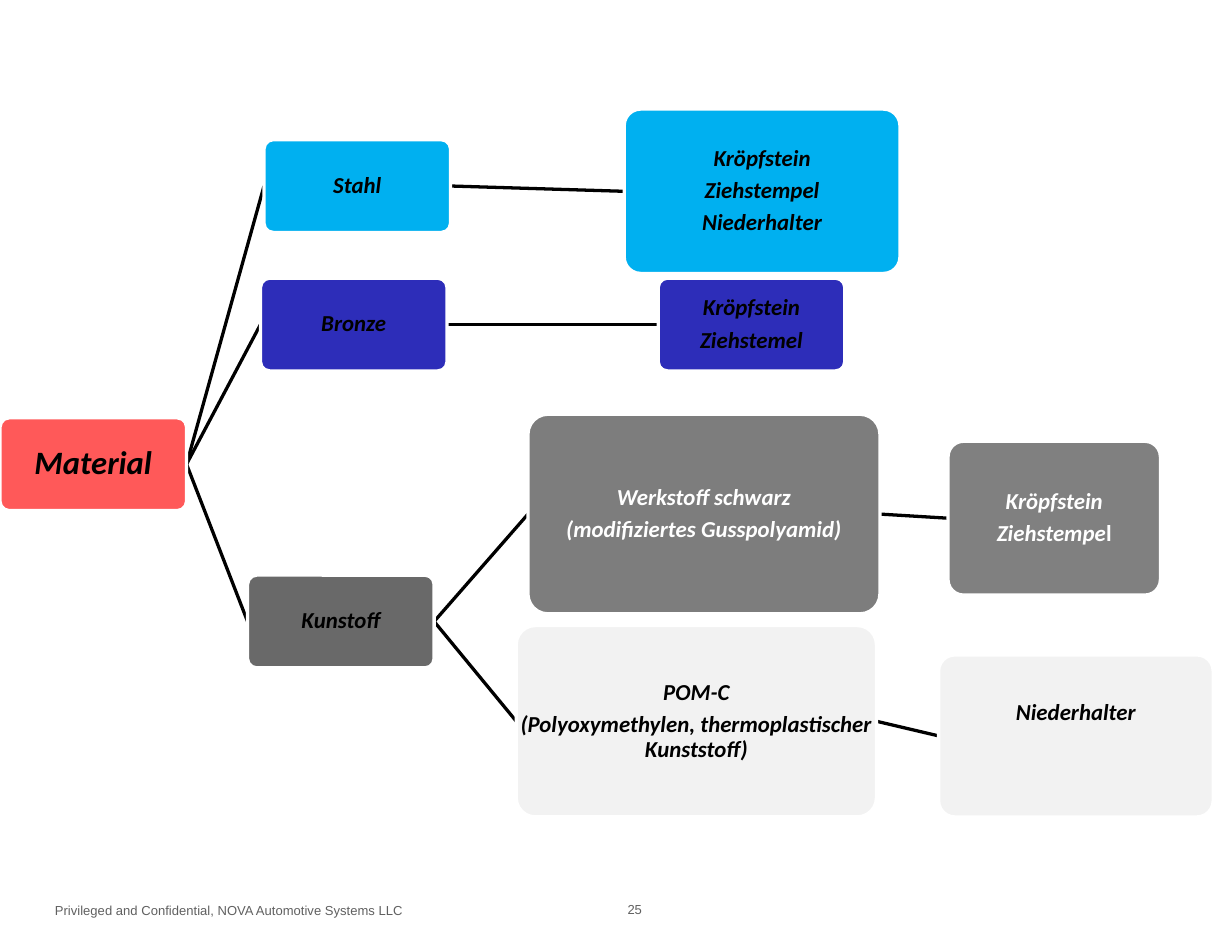
"""Build the material tree slide: steel, bronze and plastic with their tool parts."""
from lxml import etree
from pptx import Presentation
from pptx import util as u
from pptx.dml.color import RGBColor
from pptx.enum import shapes, text
from pptx.oxml.ns import qn

PX = 9144
BLACK = RGBColor(0x00, 0x00, 0x00)
WHITE = RGBColor(0xFF, 0xFF, 0xFF)
RED = RGBColor(0xFF, 0x00, 0x00)
CYAN = RGBColor(0x00, 0xB0, 0xF0)
BLUE = RGBColor(0x2D, 0x2D, 0xB9)
DARK = RGBColor(0x40, 0x40, 0x40)
GREY = RGBColor(0x80, 0x80, 0x80)
LIGHT = RGBColor(0xF2, 0xF2, 0xF2)
FOOTER = RGBColor(0x60, 0x60, 0x60)

BOXES = {
    "material": (0, 356, 159, 79, RED, 65, BLACK, ["Material"]),
    "stahl": (225, 119, 159, 79, CYAN, 100, BLACK, ["Stahl"]),
    "stahl_parts": (532, 93, 235, 140, CYAN, 100, BLACK,
                    ["Kröpfstein", "Ziehstempel", "Niederhalter"]),
    "bronze": (222, 237, 159, 79, BLUE, 100, BLACK, ["Bronze"]),
    "bronze_parts": (561, 237, 159, 79, BLUE, 100, BLACK, ["Kröpfstein", "Ziehstemel"]),
    "kunstoff": (211, 490, 159, 79, DARK, 78, BLACK, ["Kunstoff"]),
    "polyamid": (450, 353, 300, 170, BLACK, 51, WHITE,
                 ["Werkstoff schwarz", "(modifiziertes Gusspolyamid)"]),
    "polyamid_parts": (808, 376, 181, 131, GREY, 100, WHITE, ["Kröpfstein", "Ziehstempe"]),
    "pom": (440, 533, 307, 163, LIGHT, 100, BLACK,
            ["POM-C", "(Polyoxymethylen, thermoplastischer\vKunststoff)"]),
    "pom_parts": (800, 558, 234, 138, LIGHT, 100, BLACK, ["Niederhalter"]),
}
LINKS = [
    ("material", "stahl"), ("stahl", "stahl_parts"),
    ("material", "bronze"), ("bronze", "bronze_parts"),
    ("material", "kunstoff"), ("kunstoff", "polyamid"), ("polyamid", "polyamid_parts"),
    ("kunstoff", "pom"), ("pom", "pom_parts"),
]
FOOTERS = [
    (37, 764, 430, 25, "Privileged and Confidential, NOVA Automotive Systems LLC"),
    (525, 763, 50, 26, "25"),
]

prs = Presentation()
prs.slide_width, prs.slide_height = 1050 * PX, 800 * PX
s = prs.slides.add_slide(prs.slide_layouts[6])

for x, y, w, h, words in FOOTERS:
    tf = s.shapes.add_textbox(x * PX, y * PX, w * PX, h * PX).text_frame
    tf.word_wrap = True
    p = tf.paragraphs[0]
    p.text = words
    p.font.name, p.font.size = "Arial", u.Pt(8)
    p.font.color.rgb = FOOTER

nodes = {}
for name, (x, y, w, h, fill, alpha, ink, lines) in BOXES.items():
    sp = s.shapes.add_shape(shapes.MSO_SHAPE.ROUNDED_RECTANGLE, x * PX, y * PX, w * PX, h * PX)
    sp.adjustments[0] = 0.1
    sp.shadow.inherit = False
    sp.fill.solid()
    sp.fill.fore_color.rgb = fill
    if alpha < 100:
        color = sp.element.spPr.find(qn("a:solidFill"))[0]
        etree.SubElement(color, qn("a:alpha")).set("val", str(alpha * 1000))
    sp.line.color.rgb = WHITE
    sp.line.width = u.Pt(2)
    tf = sp.text_frame
    tf.word_wrap = False
    tf.auto_size = text.MSO_AUTO_SIZE.NONE
    tf.vertical_anchor = text.MSO_ANCHOR.MIDDLE
    tf.margin_left = tf.margin_right = tf.margin_top = tf.margin_bottom = PX
    for i, line in enumerate(lines):
        p = tf.add_paragraph() if i else tf.paragraphs[0]
        p.text = line
        p.alignment = text.PP_ALIGN.CENTER
        p.line_spacing = 0.9
        p.space_after = u.Pt(4.6)
        p.font.name = "Calibri"
        p.font.size = u.Pt(20 if name == "material" else 14)
        p.font.bold = p.font.italic = True
        p.font.color.rgb = ink
    nodes[name] = sp

r = nodes["polyamid_parts"].text_frame.paragraphs[1].add_run()
r.text = "l"
r.font.italic = False
nodes["pom_parts"].text_frame.margin_bottom = 39 * PX

for start, end in LINKS:
    c = s.shapes.add_connector(shapes.MSO_CONNECTOR.STRAIGHT, 0, 0, 0, 0)
    c.begin_connect(nodes[start], 3)
    c.end_connect(nodes[end], 1)
    c.line.color.rgb = BLACK
    c.line.width = u.Pt(2.25 if start == "bronze" else 2)
    etree.SubElement(c.element.spPr, qn("a:effectLst"))
    c.element.getparent().insert(2, c.element)

prs.save("out.pptx")
